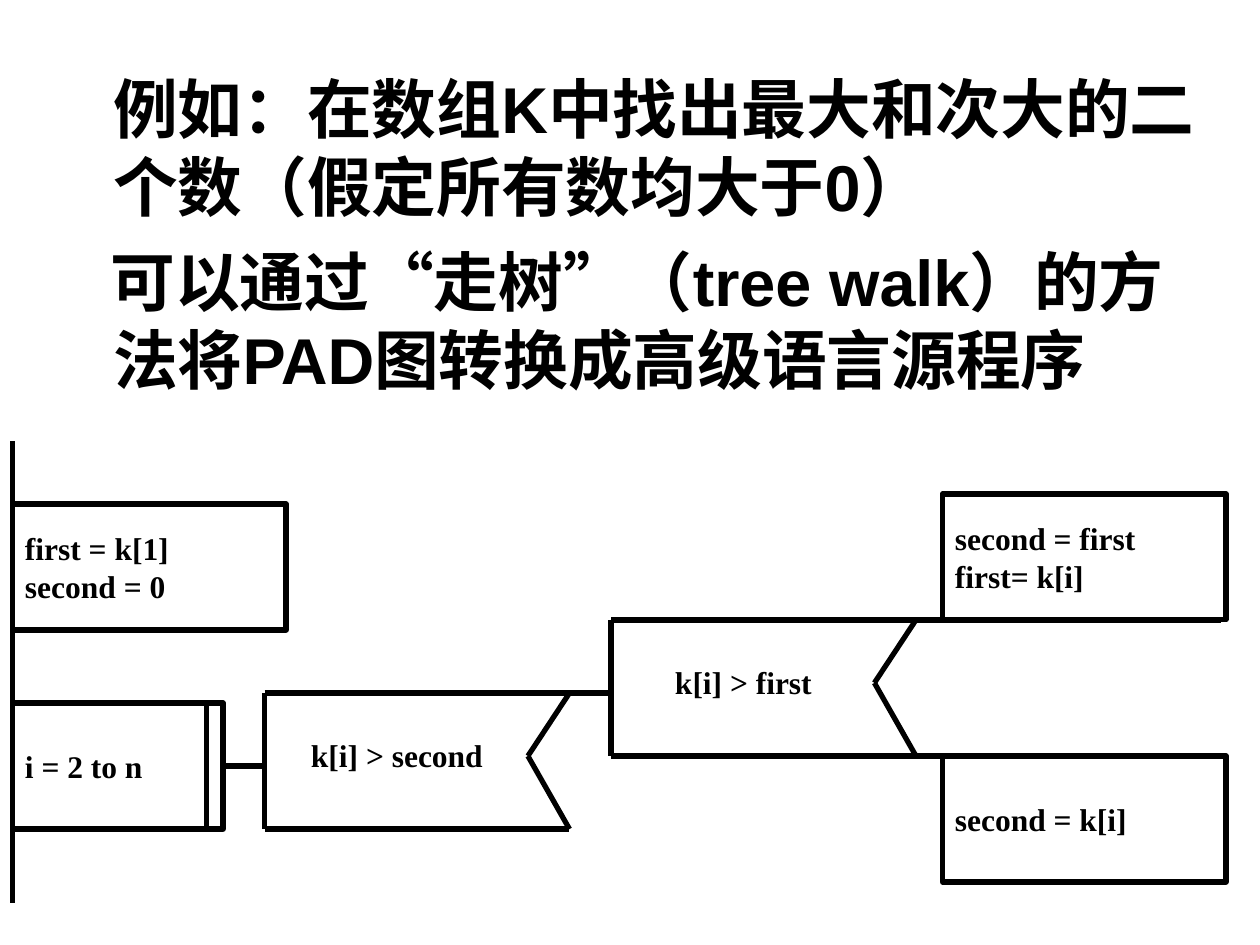
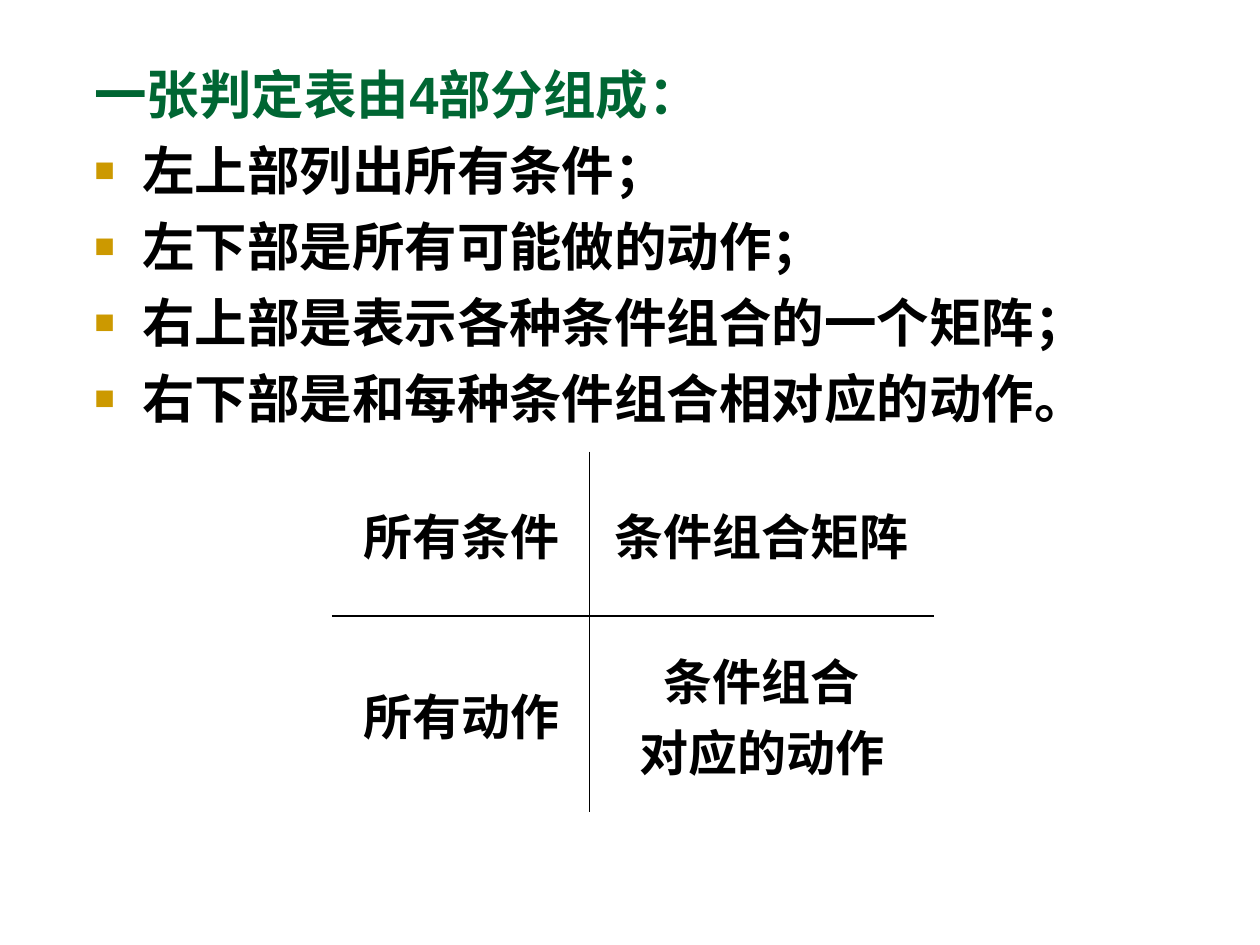
from lxml import etree
from pptx import Presentation
from pptx.dml.color import RGBColor
from pptx.enum.shapes import MSO_CONNECTOR, MSO_SHAPE
from pptx.enum.text import MSO_ANCHOR, PP_ALIGN
from pptx.oxml.ns import qn
from pptx.util import Inches, Pt

BLACK = RGBColor(0x00, 0x00, 0x00)
GREEN = RGBColor(0x00, 0x66, 0x33)
GOLD = RGBColor(0xCC, 0x99, 0x00)
BODY_FONT = "Arial"
DIAGRAM_FONT = "Times New Roman"
STRAIGHT = MSO_CONNECTOR.STRAIGHT
RECTANGLE = MSO_SHAPE.RECTANGLE
LEFT, CENTER = PP_ALIGN.LEFT, PP_ALIGN.CENTER
TOP, MIDDLE = MSO_ANCHOR.TOP, MSO_ANCHOR.MIDDLE
RIGHT_SIDE = 3

STROKE = Pt(3)
RULE = Pt(0.96)
HANGING = Inches(0.38)

SPINE_X = 0.1
CONDITION_HEIGHT = 1.08
ACTION_LEFT, ACTION_WIDTH = 7.48, 2.25


def write_lines(frame, lines, size, font, color=BLACK, align=LEFT):
    """Fill a text frame with one bold paragraph per line."""
    for index, line in enumerate(lines):
        paragraph = frame.paragraphs[0] if index == 0 else frame.add_paragraph()
        paragraph.alignment = align
        run = paragraph.add_run()
        run.text = line
        run.font.size = Pt(size)
        run.font.name = font
        run.font.bold = True
        run.font.color.rgb = color


def add_text(slide, box, lines, size, font, align=LEFT, anchor=MIDDLE):
    frame = slide.shapes.add_textbox(*map(Inches, box)).text_frame
    frame.word_wrap = True
    frame.vertical_anchor = anchor
    write_lines(frame, lines, size, font, align=align)
    return frame


def add_body(slide, box, lines, size, space_before):
    """Add the large text block at the top of a slide."""
    frame = add_text(slide, box, lines, size, BODY_FONT, anchor=TOP)
    for paragraph in frame.paragraphs[1:]:
        paragraph.space_before = Pt(space_before)
    return frame


def indent(paragraph, first_line=0):
    properties = paragraph._p.get_or_add_pPr()
    properties.set("marL", str(HANGING))
    properties.set("indent", str(first_line))
    return properties


def add_bullet(paragraph):
    properties = indent(paragraph, -HANGING)
    color = etree.SubElement(properties, qn("a:buClr"))
    etree.SubElement(color, qn("a:srgbClr")).set("val", str(GOLD))
    etree.SubElement(properties, qn("a:buSzPct")).set("val", "65000")
    etree.SubElement(properties, qn("a:buFont")).set("typeface", BODY_FONT)
    etree.SubElement(properties, qn("a:buChar")).set("char", "■")


def add_line(slide, x1, y1, x2, y2):
    line = slide.shapes.add_connector(STRAIGHT, *map(Inches, (x1, y1, x2, y2)))
    line.line.color.rgb = BLACK
    line.line.width = STROKE
    etree.SubElement(line._element.spPr, qn("a:effectLst"))
    return line


def add_step(slide, left, top, width, lines):
    """Add a processing box of the PAD diagram."""
    step = slide.shapes.add_shape(
        RECTANGLE, *map(Inches, (left, top, width, 1)))
    step.shadow.inherit = False
    step.fill.background()
    step.line.color.rgb = BLACK
    step.line.width = STROKE
    step.text_frame.word_wrap = True
    step.text_frame.vertical_anchor = MIDDLE
    write_lines(step.text_frame, lines, 18, DIAGRAM_FONT)
    return step


def add_condition(slide, left, top, label, yes_end, no_end):
    """Add a notched condition whose two branches run to the given x."""
    bottom = top + CONDITION_HEIGHT
    notch, corner, notch_y = left + 2.09, left + 2.42, top + 0.5
    add_line(slide, left, top, yes_end, top)
    add_line(slide, left, top, left, bottom)
    add_line(slide, left, bottom, no_end, bottom)
    for branch_y in (top, bottom):
        add_line(slide, notch, notch_y, corner, branch_y)
    add_text(slide, (left + 0.09, top + 0.16, 1.92, 0.67), [label],
             18, DIAGRAM_FONT, CENTER)


def add_cell_rules(cell, sides):
    """Draw thin rules on the given sides (L, R, T, B, in that order)."""
    properties = cell._tc.get_or_add_tcPr()
    for position, side in enumerate(sides):
        rule = etree.Element(qn(f"a:ln{side}"), w=str(RULE))
        fill = etree.SubElement(rule, qn("a:solidFill"))
        etree.SubElement(fill, qn("a:srgbClr")).set("val", str(BLACK))
        properties.insert(position, rule)


def add_cross_table(slide, left, top, widths, heights, texts):
    """Add a table ruled only between its cells."""
    table = slide.shapes.add_table(
        len(heights), len(widths), Inches(left), Inches(top),
        Inches(sum(widths)), Inches(sum(heights))).table
    table.first_row = False
    table.horz_banding = False
    for column, width in zip(table.columns, widths):
        column.width = Inches(width)
    for row, height in zip(table.rows, heights):
        row.height = Inches(height)
    for r, row_texts in enumerate(texts):
        for c, lines in enumerate(row_texts):
            cell = table.cell(r, c)
            cell.fill.background()
            cell.vertical_anchor = MIDDLE
            write_lines(cell.text_frame, lines, 28, DIAGRAM_FONT, align=CENTER)
            add_cell_rules(cell, ("L" if c else "R") + ("T" if r else "B"))


def build_pad_slide(slide):
    body = add_body(slide, (0.42, 0.5, 9.25, 3), [
        "例如：在数组K中找出最大和次大的二个数（假定所有数均大于0）",
        "可以通过“走树”（tree walk）的方法将PAD图转换成高级语言源程序",
    ], 37, 10)
    example, method = body.paragraphs
    indent(example)
    indent(method, -Inches(0.02))

    add_line(slide, SPINE_X, 3.5, SPINE_X, 7.17)
    add_step(slide, SPINE_X, 4, 2.17, ["first = k[1]", "second = 0"])
    loop = add_step(slide, SPINE_X, 5.58, 1.67, ["i = 2 to n"])
    add_line(slide, 1.64, 5.58, 1.64, 6.58)
    loop_link = add_line(slide, 1.77, 6.08, 2.1, 6.08)
    loop_link.begin_connect(loop, RIGHT_SIDE)

    add_condition(slide, 2.1, 5.5, "k[i] > second", 4.85, 4.52)
    add_condition(slide, 4.85, 4.92, "k[i] > first", 9.69, 9.69)
    add_step(slide, ACTION_LEFT, 3.92, ACTION_WIDTH,
             ["second = first", "first= k[i]"])
    add_step(slide, ACTION_LEFT, 6, ACTION_WIDTH, ["second = k[i]"])


def build_decision_table_slide(slide):
    body = add_body(slide, (0.65, 0.44, 8.87, 3.47), [
        "一张判定表由4部分组成：",
        "左上部列出所有条件；",
        "左下部是所有可能做的动作；",
        "右上部是表示各种条件组合的一个矩阵；",
        "右下部是和每种条件组合相对应的动作。",
    ], 30, 7.5)
    heading, *parts = body.paragraphs
    heading.runs[0].font.color.rgb = GREEN
    for part in parts:
        add_bullet(part)

    add_cross_table(slide, 2.64, 3.59, (2.04, 2.73), (1.3, 1.56), [
        [["所有条件"], ["条件组合矩阵"]],
        [["所有动作"], ["条件组合", "对应的动作"]],
    ])


def main():
    deck = Presentation()
    deck.slide_width = Inches(10)
    deck.slide_height = Inches(7.5)
    blank = deck.slide_layouts[6]
    for build in (build_pad_slide, build_decision_table_slide):
        build(deck.slides.add_slide(blank))
    deck.save("out.pptx")


if __name__ == "__main__":
    main()
